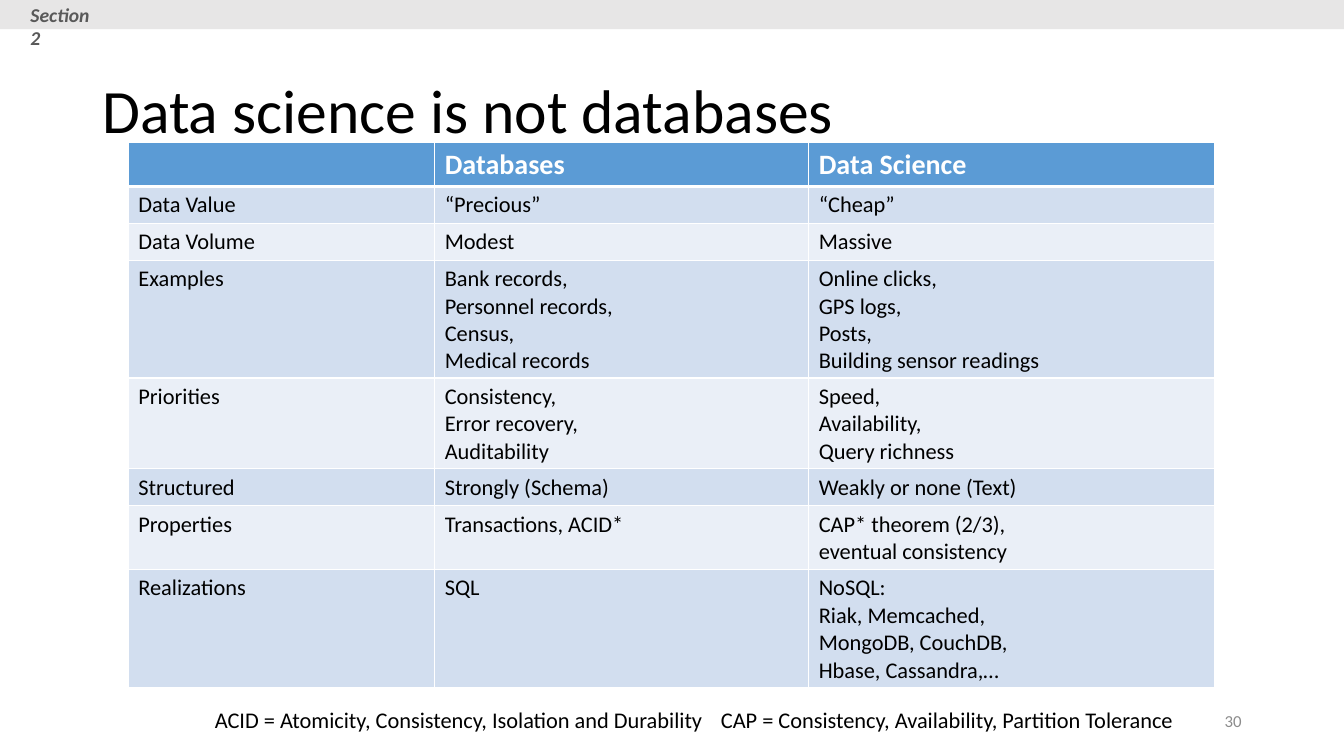
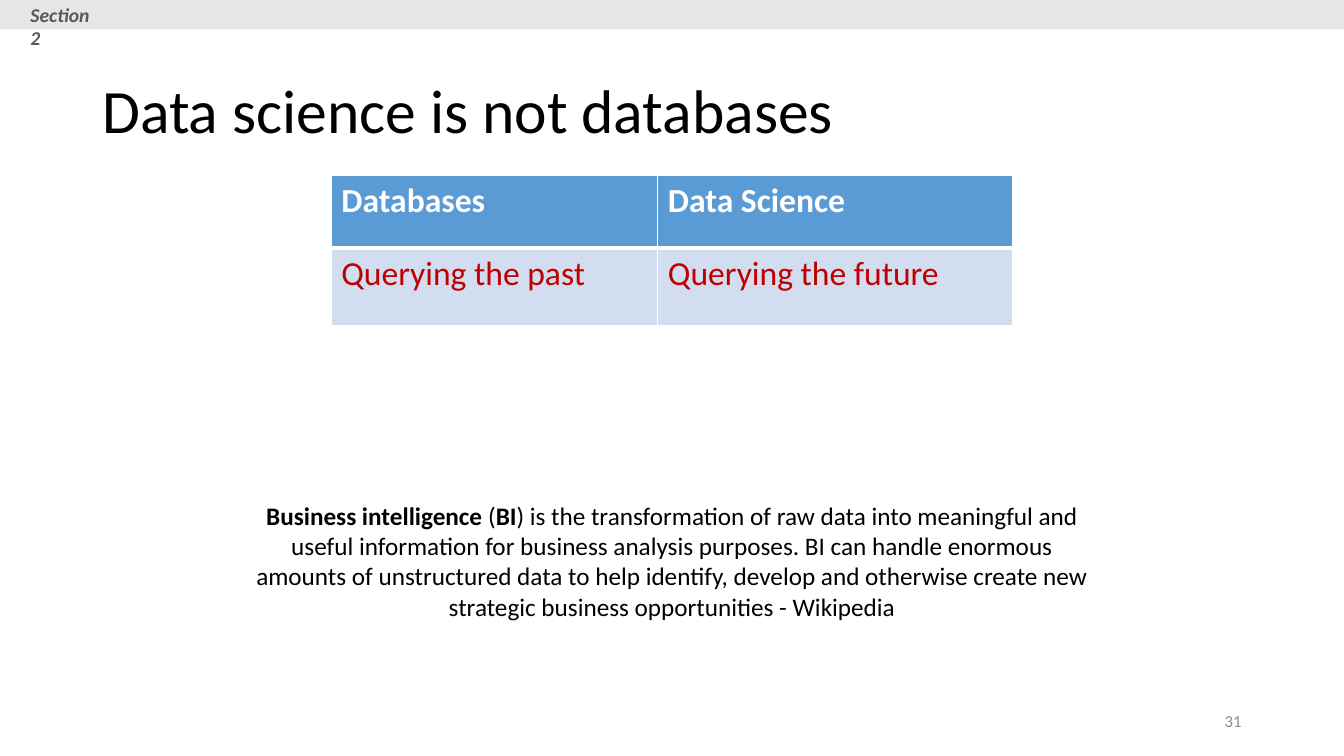
from lxml import etree
from pptx import Presentation
from pptx.dml.color import RGBColor
from pptx.enum.shapes import MSO_SHAPE
from pptx.enum.text import MSO_ANCHOR, PP_ALIGN
from pptx.oxml.ns import qn
from pptx.util import Inches, Pt

RECTANGLE = MSO_SHAPE.RECTANGLE
TOP, MIDDLE = MSO_ANCHOR.TOP, MSO_ANCHOR.MIDDLE
LEFT, CENTER, RIGHT = PP_ALIGN.LEFT, PP_ALIGN.CENTER, PP_ALIGN.RIGHT
FONT = "Calibri"
COLORS = {
    "text": "000000",
    "white": "FFFFFF",
    "band": "E7E6E6",
    "section": "595959",
    "page": "8C8C8C",
    "header": "5B9BD5",
    "odd": "D2DEEF",
    "even": "EAEFF7",
    "accent": "C00000",
}

prs = Presentation()
prs.slide_width, prs.slide_height = Inches(13.33), Inches(7.5)
# Every length below is a percentage of the slide's width or height.
COL, ROW = prs.slide_width / 100, prs.slide_height / 100


def place(left, top, width, height):
    """Turn percentages of the slide into EMU."""
    return round(left * COL), round(top * ROW), round(width * COL), round(height * ROW)


def write(frame, paragraphs, size, color="text", italic=False, align=LEFT, spacing=1.0):
    """Fill a text frame; each paragraph is a list of (text, bold) runs."""
    for number, runs in enumerate(paragraphs):
        paragraph = frame.add_paragraph() if number else frame.paragraphs[0]
        paragraph.alignment = align
        paragraph.line_spacing = spacing
        for text, bold in runs:
            run = paragraph.add_run()
            run.text = text
            run.font.name, run.font.size = FONT, Pt(size)
            run.font.bold, run.font.italic = bold, italic
            run.font.color.rgb = RGBColor.from_string(COLORS[color])


comparison = [
    ["", "Databases", "Data Science"],
    ["Data Value", "“Precious”", "“Cheap”"],
    ["Data Volume", "Modest", "Massive"],
    ["Examples", "Bank records,\nPersonnel records,\nCensus,\nMedical records",
     "Online clicks,\nGPS logs,\nPosts,\nBuilding sensor readings"],
    ["Priorities", "Consistency,\nError recovery,\nAuditability",
     "Speed,\nAvailability,\nQuery richness"],
    ["Structured", "Strongly (Schema)", "Weakly or none (Text)"],
    ["Properties", "Transactions, ACID*", "CAP* theorem (2/3),\neventual consistency"],
    ["Realizations", "SQL",
     "NoSQL:\nRiak, Memcached,\nMongoDB, CouchDB,\nHbase, Cassandra,…"],
]
querying = [
    ["Databases", "Data Science"],
    ["Querying the past", "Querying the future"],
]
bi_definition = [
    ("Business intelligence", True), (" (", False), ("BI", True),
    (") is the transformation of raw data into meaningful and useful information for "
     "business analysis purposes. BI can handle enormous amounts of unstructured data to "
     "help identify, develop and otherwise create new strategic business opportunities "
     "- Wikipedia", False),
]

pages = [
    {
        "number": "30", "cells": comparison, "origin": (9.55, 18.88),
        "columns": (22.8, 27.83, 30.23), "header_row": 5.6, "body_row": 4.53,
        "header_size": 20, "body_size": 16, "body_color": "text",
        "captions": [
            ((15.25, 92.73, 39, 4.93),
             [("ACID = Atomicity, Consistency, Isolation and Durability", False)], 16, LEFT),
            ((52.9, 92.73, 35.4, 4.93),
             [("CAP = Consistency, Availability, Partition Tolerance", False)], 16, LEFT),
        ],
    },
    {
        "number": "31", "cells": querying, "origin": (24.65, 23.23),
        "columns": (24.3, 26.4), "header_row": 9.6, "body_row": 10.27,
        "header_size": 24, "body_size": 24, "body_color": "accent",
        "captions": [((17.75, 65.5, 64.5, 17.47), bi_definition, 18, CENTER)],
    },
]
EXTRA_LINE = 3.33

for page in pages:
    slide = prs.slides.add_slide(prs.slide_layouts[6])

    band = slide.shapes.add_shape(RECTANGLE, *place(0, 0, 100, 3.87))
    band.shadow.inherit = False
    band.fill.solid()
    band.fill.fore_color.rgb = RGBColor.from_string(COLORS["band"])
    band.line.fill.background()

    # box, runs, anchor, text style
    texts = [
        ((6.87, 5.33, 86.25, 19.33), [("Data science is not databases", False)], MIDDLE,
         {"size": 44, "spacing": 0.9}),
        ((1.53, -0.3, 6.9, 4.53), [("Section 2", True)], TOP,
         {"size": 14, "color": "section", "italic": True}),
        ((70.62, 92.67, 22.5, 5.33), [(page["number"], False)], MIDDLE,
         {"size": 12, "color": "page", "align": RIGHT}),
    ]
    for box, runs, size, align in page["captions"]:
        texts.append((box, runs, TOP, {"size": size, "align": align}))
    for box, runs, anchor, style in texts:
        frame = slide.shapes.add_textbox(*place(*box)).text_frame
        frame.word_wrap = True
        frame.vertical_anchor = anchor
        write(frame, [runs], **style)

    cells, columns = page["cells"], page["columns"]
    heights = [page["header_row"]]
    for row in cells[1:]:
        lines = max(text.count("\n") + 1 for text in row)
        heights.append(page["body_row"] + EXTRA_LINE * (lines - 1))
    table = slide.shapes.add_table(
        len(cells), len(columns),
        *place(*page["origin"], sum(columns), sum(heights))).table
    for column, width in zip(table.columns, columns):
        column.width = round(width * COL)

    for r, row in enumerate(cells):
        table.rows[r].height = round(heights[r] * ROW)
        is_header = r == 0
        shade = "header" if is_header else "odd" if r % 2 else "even"
        for c, text in enumerate(row):
            cell = table.cell(r, c)
            borders = {"lnL": 1, "lnR": 1, "lnT": 3 if r == 1 else 1,
                       "lnB": 3 if is_header else 1}
            properties = cell._tc.get_or_add_tcPr()
            for side, points in borders.items():
                edge = etree.SubElement(properties, qn("a:" + side), w=str(Pt(points)))
                fill = etree.SubElement(edge, qn("a:solidFill"))
                etree.SubElement(fill, qn("a:srgbClr"), val=COLORS["white"])
            cell.fill.solid()
            cell.fill.fore_color.rgb = RGBColor.from_string(COLORS[shade])
            if text:
                write(cell.text_frame,
                      [[(line, is_header)] for line in text.split("\n")],
                      page["header_size"] if is_header else page["body_size"],
                      "white" if is_header else page["body_color"])

prs.save("out.pptx")
